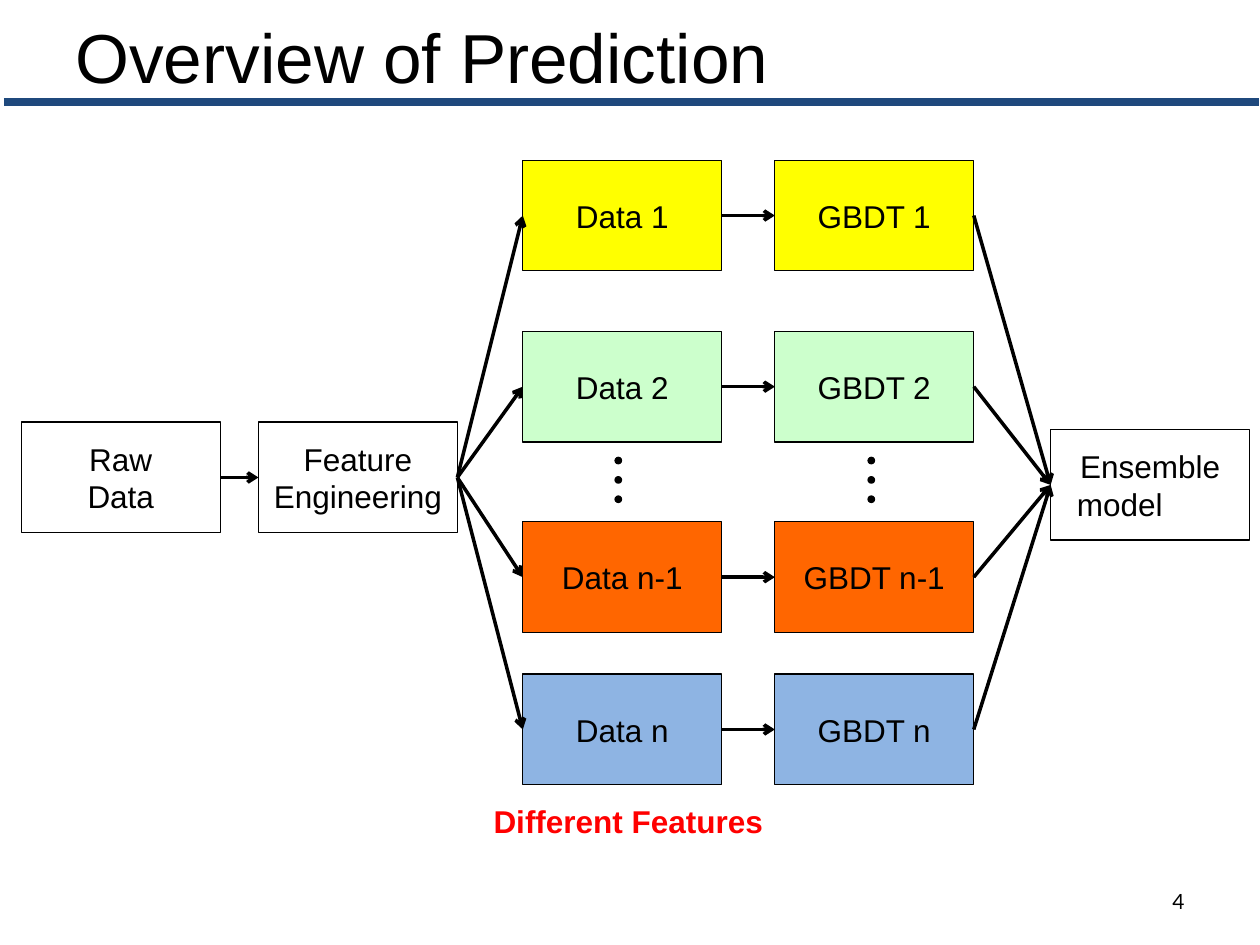
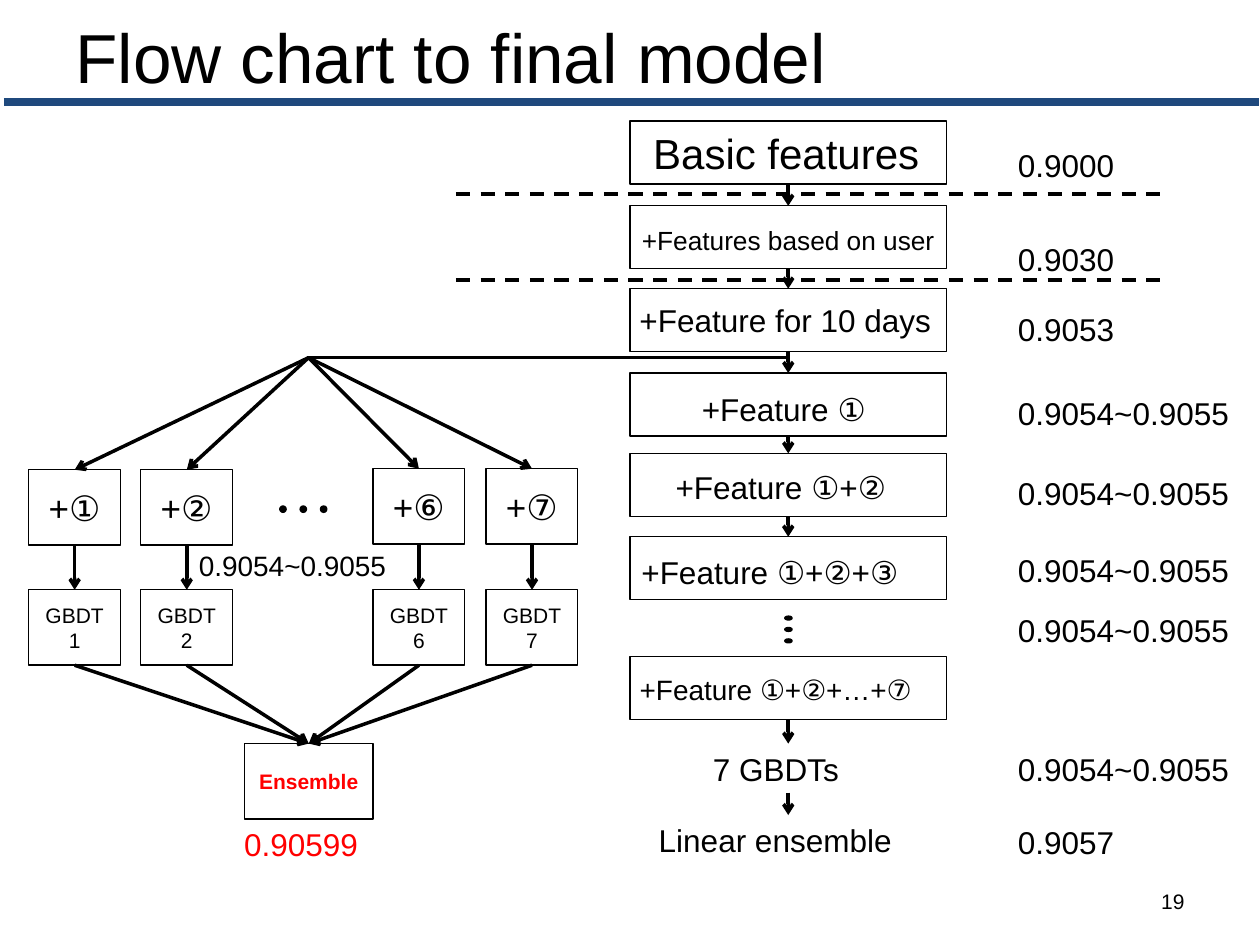
from lxml.etree import SubElement
from pptx import Presentation
from pptx.dml.color import RGBColor
from pptx.enum.dml import MSO_LINE
from pptx.enum.shapes import MSO_CONNECTOR, MSO_SHAPE
from pptx.enum.text import MSO_ANCHOR, PP_ALIGN
from pptx.oxml.ns import qn
from pptx.util import Cm, Pt

BLACK = RGBColor(0x00, 0x00, 0x00)
RED = RGBColor(0xFF, 0x00, 0x00)
NAVY = RGBColor(0x1F, 0x49, 0x7D)
YELLOW = RGBColor(0xFF, 0xFF, 0x00)
MINT = RGBColor(0xCC, 0xFF, 0xCC)
ORANGE = RGBColor(0xFF, 0x66, 0x00)
SKY = RGBColor(0x8E, 0xB4, 0xE3)

TOP, LEFT, BOTTOM, RIGHT = range(4)


def write(shape, text, size=18, color=BLACK, bold=False, font="Arial",
          align=PP_ALIGN.LEFT, anchor=MSO_ANCHOR.TOP, wrap=True,
          margin=0.25, drift=0, drop=0):
    frame = shape.text_frame
    frame.word_wrap = wrap
    frame.vertical_anchor = anchor
    frame.margin_left = Cm(margin)
    frame.margin_right = Cm(margin + 2 * drift)
    frame.margin_top = Cm(0.13 + 2 * drop)
    frame.margin_bottom = Cm(0.13)
    for index, words in enumerate(text.split("\n")):
        para = frame.add_paragraph() if index else frame.paragraphs[0]
        para.alignment = align
        span = para.add_run()
        span.text = words
        span.font.name = font
        span.font.size = Pt(size)
        span.font.bold = bold
        span.font.color.rgb = color


def add_label(page, left, top, width, text, height=1.02, **style):
    label = page.shapes.add_textbox(Cm(left), Cm(top), Cm(width), Cm(height))
    write(label, text, **style)


def add_figure(page, kind, left, top, width, height, fill=None):
    figure = page.shapes.add_shape(kind, Cm(left), Cm(top), Cm(width), Cm(height))
    figure.shadow.inherit = False
    if fill is None:
        figure.fill.background()
    else:
        figure.fill.solid()
        figure.fill.fore_color.rgb = fill
    figure.line.color.rgb = BLACK
    figure.line.width = Pt(0.75)
    return figure


def add_box(page, left, top, width, height, text, fill=None, **style):
    box = add_figure(page, MSO_SHAPE.RECTANGLE, left, top, width, height, fill)
    write(box, text, align=PP_ALIGN.CENTER, anchor=MSO_ANCHOR.MIDDLE, **style)
    return box


def add_dots(page, left, top, width, height, step_x=0, step_y=0):
    for i in range(3):
        add_figure(page, MSO_SHAPE.OVAL, left + i * step_x, top + i * step_y,
                   width, height, BLACK)


def add_line(page, x1, y1, x2, y2, color=BLACK, width=2, arrow=False, dash=False):
    line = page.shapes.add_connector(MSO_CONNECTOR.STRAIGHT, Cm(x1), Cm(y1), Cm(x2), Cm(y2))
    line.line.color.rgb = color
    line.line.width = Pt(width)
    if dash:
        line.line.dash_style = MSO_LINE.DASH
    if arrow:
        SubElement(line.get_or_add_ln(), qn("a:tailEnd"), type="arrow")
    SubElement(line.element.spPr, qn("a:effectLst"))
    return line


def link(page, source, source_side, target, target_side):
    line = add_line(page, 0, 0, 1, 1, arrow=True)
    line.begin_connect(source, source_side)
    line.end_connect(target, target_side)


def add_page(deck, title, number, number_font):
    page = deck.slides.add_slide(deck.slide_layouts[6])
    add_line(page, 0.08, 2.06, 25.37, 2.06, color=NAVY, width=4.5)
    add_label(page, 1.27, 0.41, 22.86, title, height=1.42, size=39.6,
              anchor=MSO_ANCHOR.MIDDLE)
    add_label(page, 18.21, 17.65, 5.92, number, size=12, font=number_font,
              align=PP_ALIGN.RIGHT, anchor=MSO_ANCHOR.MIDDLE)
    return page


def build_overview(deck):
    page = add_page(deck, "Overview of Prediction", "4", "Lato")
    width, height = 4.01, 2.23
    raw = add_box(page, 0.43, 8.51, width, height, "Raw\nData")
    feature = add_box(page, 5.21, 8.51, width, height, "Feature\nEngineering")
    ensemble = add_box(page, 21.18, 8.66, width, height, "Ensemble\nmodel", margin=0.53)
    ensemble.text_frame.paragraphs[1].alignment = PP_ALIGN.LEFT
    link(page, raw, RIGHT, feature, LEFT)

    rows = [("1", 3.23, YELLOW), ("2", 6.68, MINT),
            ("n-1", 10.52, ORANGE), ("n", 13.59, SKY)]
    for name, top, fill in rows:
        data = add_box(page, 10.54, top, width, height, f"Data {name}", fill)
        model = add_box(page, 15.62, top, width, height, f"GBDT {name}", fill)
        link(page, feature, RIGHT, data, LEFT)
        link(page, data, RIGHT, model, LEFT)
        link(page, model, RIGHT, ensemble, LEFT)
    for left in (12.4, 17.5):
        add_dots(page, left, 9.22, 0.13, 0.13, step_y=0.39)
    add_label(page, 9.7, 16.03, 6.2, "Different Features", color=RED, bold=True)


def build_feature_stack(page):
    steps = [
        (2.44, "Basic features", 24, 0.04, 0),
        (4.15, "+Features based on user", 15, 0, 0.06),
        (5.82, "+Feature for 10 days", 18, 0.06, 0),
        (7.52, "+Feature ①", 18, 0.09, 0.08),
        (9.14, "+Feature ①+②", 18, 0.15, 0.05),
        (10.82, "+Feature ①+②+③", 18, 0.37, 0.08),
        (13.23, "+Feature ①+②+…+⑦", 16, 0.25, 0.04),
    ]
    boxes = [add_box(page, 12.7, top, 6.38, 1.27, text, size=size, wrap=False,
                     margin=0.1, drift=drift, drop=drop)
             for top, text, size, drift, drop in steps]
    for upper, lower in zip(boxes[:5], boxes[1:6]):
        link(page, upper, BOTTOM, lower, TOP)
    add_dots(page, 15.82, 12.42, 0.15, 0.08, step_y=0.23)
    add_line(page, 15.89, 14.5, 15.89, 14.99, arrow=True).begin_connect(boxes[-1], BOTTOM)
    add_label(page, 14.12, 14.99, 3.2, "7 GBDTs")
    add_line(page, 15.89, 15.98, 15.89, 16.43, arrow=True)
    add_label(page, 13.03, 16.43, 5.4, "Linear ensemble")
    for y in (3.91, 5.64):
        add_line(page, 9.19, y, 23.42, y, dash=True)


def build_scores(page):
    plateau = "0.9054~0.9055"
    scores = [(2.82, "0.9000"), (4.7, "0.9030"), (6.12, "0.9053")]
    scores += [(top, plateau) for top in (7.82, 9.42, 10.97, 12.19, 14.99)]
    scores.append((16.46, "0.9057"))
    for top, score in scores:
        add_label(page, 20.27, top, 5, score)
    add_label(page, 3.76, 10.92, 4.5, plateau, size=16)
    add_label(page, 4.67, 16.51, 3, "0.90599", color=RED)


def build_branches(page):
    hub_x, hub_y = 6.22, 7.21
    width, height = 1.85, 1.52
    add_line(page, 15.89, hub_y, hub_x - 0.04, hub_y)
    ensemble = add_box(page, 4.93, 14.99, 2.59, height, "Ensemble",
                       size=12, color=RED, bold=True)
    branches = [(0.58, 9.47, "①", 1), (2.84, 9.47, "②", 2),
                (7.52, 9.45, "⑥", 6), (9.8, 9.45, "⑦", 7)]
    for left, top, mark, number in branches:
        feature = add_box(page, left, top, width, height, f"+{mark}", size=20)
        model = add_box(page, left, 11.89, width, height, f"GBDT{number}", size=12)
        add_line(page, hub_x, hub_y, left, top, arrow=True).end_connect(feature, TOP)
        link(page, feature, BOTTOM, model, TOP)
        link(page, model, BOTTOM, ensemble, TOP)
    add_dots(page, 5.64, 10.2, 0.13, 0.13, step_x=0.41)


def build_flow_chart(deck):
    page = add_page(deck, "Flow chart to final model", "19", "Arial")
    build_feature_stack(page)
    build_branches(page)
    build_scores(page)


def main():
    deck = Presentation()
    deck.slide_width = Cm(25.4)
    deck.slide_height = Cm(19.05)
    build_overview(deck)
    build_flow_chart(deck)
    deck.save("out.pptx")


if __name__ == "__main__":
    main()
